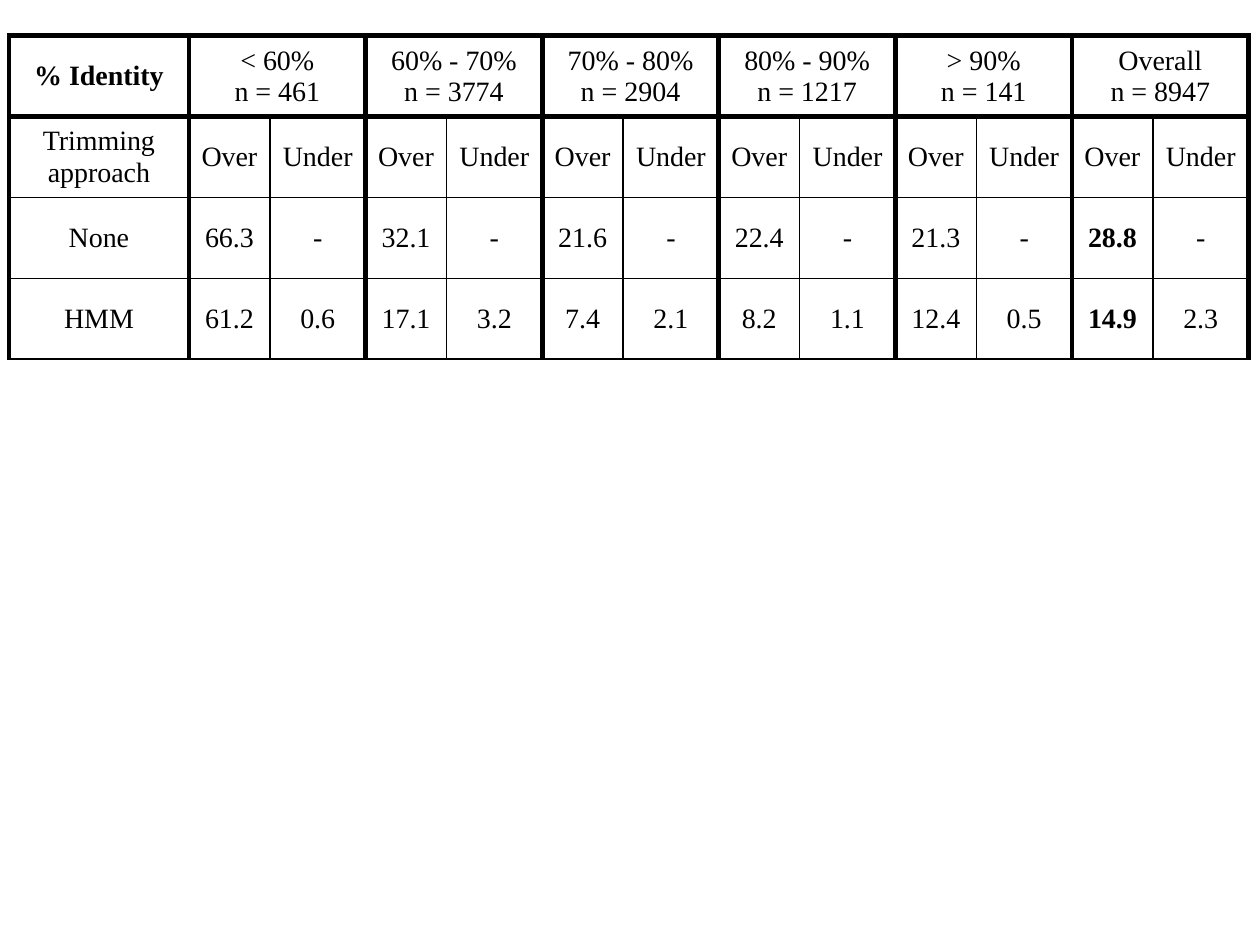
from lxml.etree import SubElement
from pptx import Presentation
from pptx.dml.color import RGBColor
from pptx.enum.text import MSO_ANCHOR, PP_ALIGN
from pptx.oxml.ns import qn
from pptx.util import Cm, Pt

COLOURS = {"ink": "000000"}
THICK, THIN = 3, 1

GROUPS = [
    ("< 60%", 461),
    ("60% - 70%", 3774),
    ("70% - 80%", 2904),
    ("80% - 90%", 1217),
    ("> 90%", 141),
    ("Overall", 8947),
]
RESULTS = [
    ["None", "66.3", "-", "32.1", "-", "21.6", "-", "22.4", "-", "21.3", "-", "28.8", "-"],
    ["HMM", "61.2", "0.6", "17.1", "3.2", "7.4", "2.1", "8.2", "1.1", "12.4", "0.5", "14.9", "2.3"],
]


class SlideBuilder:
    """Holds the text style and the current slide."""

    font = "Times New Roman"
    size = Pt(16)

    def __init__(self, page):
        self.page = page

    def table(self, left, top, widths, height, row_count):
        frame = self.page.shapes.add_table(
            row_count, len(widths), Cm(left), Cm(top), Cm(sum(widths)), Cm(height * row_count))
        table = frame.table
        table.first_row = table.horz_banding = False
        for column, width in zip(table.columns, widths):
            column.width = Cm(width)
        for row in table.rows:
            row.height = Cm(height)
        return table

    def borders(self, cell, left, right, top, bottom):
        properties = cell._tc.get_or_add_tcPr()
        sides = {"a:lnL": left, "a:lnR": right, "a:lnT": top, "a:lnB": bottom}
        for position, (side, width) in enumerate(sides.items()):
            line = SubElement(properties, qn(side), w=str(Pt(width)))
            fill = SubElement(line, qn("a:solidFill"))
            SubElement(fill, qn("a:srgbClr"), val=COLOURS["ink"])
            properties.insert(position, line)  # borders come before the fill

    def cell_text(self, cell, text, bold=False):
        cell.text_frame.text = text
        cell.vertical_anchor = MSO_ANCHOR.MIDDLE
        cell.margin_left = cell.margin_right = Cm(0.15)
        for para in cell.text_frame.paragraphs:
            para.alignment = PP_ALIGN.CENTER
            for span in para.runs:
                span.font.name = self.font
                span.font.size = self.size
                span.font.bold = bold
                span.font.color.rgb = RGBColor.from_string(COLOURS["ink"])


def main():
    deck = Presentation()
    deck.slide_width, deck.slide_height = Cm(25.4), Cm(19.05)
    builder = SlideBuilder(deck.slides.add_slide(deck.slide_layouts[6]))

    # Grid: a label column, then an Over and Under pair for each group
    widths = [3.63] + [1.63, 1.93] * len(GROUPS)
    table = builder.table(0.18, 0.72, widths, 1.63, 2 + len(RESULTS))

    # Borders: thick around the header and each group, thin inside
    for row in range(len(table.rows)):
        for column in range(len(widths)):
            cell = table.cell(row, column)
            cell.fill.background()
            is_over = column % 2 == 1
            is_under = column > 0 and not is_over
            builder.borders(
                cell,
                left=THIN if row and is_under else THICK,
                right=THIN if row and is_over else THICK,
                top=THICK if row < 2 else THIN,
                bottom=THIN if row else THICK)

    # Header row: identity ranges, each across two columns
    builder.cell_text(table.cell(0, 0), "% Identity", bold=True)
    for index, (label, count) in enumerate(GROUPS):
        column = 1 + 2 * index
        table.cell(0, column).merge(table.cell(0, column + 1))
        builder.cell_text(table.cell(0, column), f"{label}\nn = {count}")

    # Subheader and results; the overall "Over" values are bold
    body = [["Trimming approach"] + ["Over", "Under"] * len(GROUPS)] + RESULTS
    overall_column = len(widths) - 2
    for row, values in enumerate(body, start=1):
        for column, value in enumerate(values):
            bold = row > 1 and column == overall_column
            builder.cell_text(table.cell(row, column), value, bold)

    deck.save("out.pptx")


if __name__ == "__main__":
    main()
